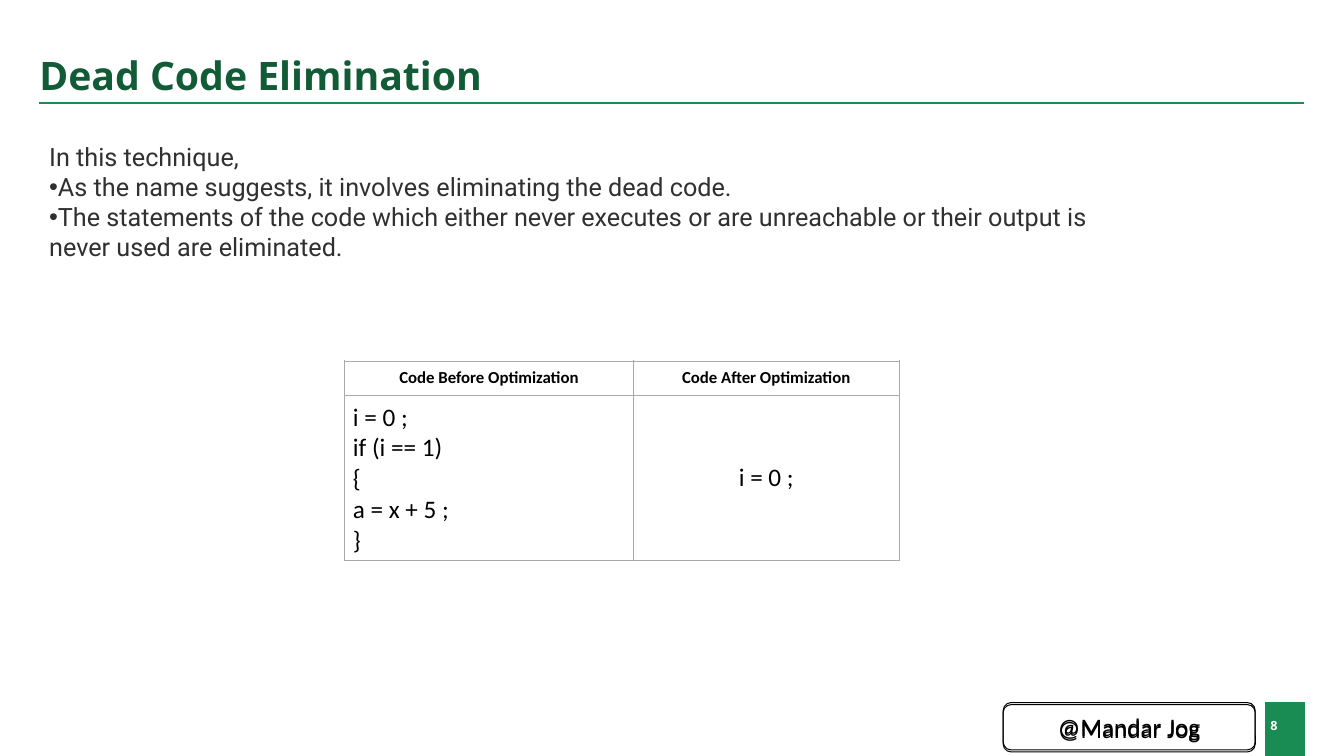
from dataclasses import dataclass

from lxml.etree import SubElement
from pptx import Presentation
from pptx.dml.color import RGBColor
from pptx.enum.shapes import MSO_CONNECTOR, MSO_SHAPE
from pptx.enum.text import MSO_ANCHOR, PP_ALIGN
from pptx.oxml.ns import qn
from pptx.util import Inches, Pt

GREEN = "198C53"
BLACK = "000000"
WHITE = "FFFFFF"
BODY_INSETS = (0.1, 0.05, 0.1, 0.05)
CELL_INSETS = (0.08, 0.07, 0.08, 0.07)


@dataclass
class CodeCell:
    row: int
    column: int
    lines: list[str]
    size: float = 18
    bold: bool = False
    align: PP_ALIGN = PP_ALIGN.CENTER


def color(value: str) -> RGBColor:
    return RGBColor.from_string(value)


def write(frame, lines: list[str], *, font: str, size: float, ink: str,
          bold: bool = False, align: PP_ALIGN = PP_ALIGN.LEFT,
          spacing: float | None = None, bulleted_from: int | None = None) -> None:
    for index, line in enumerate(lines):
        para = frame.paragraphs[0] if index == 0 else frame.add_paragraph()
        para.alignment = align
        para.line_spacing = spacing
        if bulleted_from is not None and index >= bulleted_from:
            properties = para._p.get_or_add_pPr()
            properties.set("marL", "0")
            properties.set("indent", "0")
            SubElement(properties, qn("a:buFont"), typeface="Arial")
            SubElement(properties, qn("a:buChar"), char="•")
        span = para.add_run()
        span.text = line
        span.font.name = font
        span.font.size = Pt(size)
        span.font.bold = bold
        span.font.color.rgb = color(ink)


def set_frame(frame, insets: tuple[float, ...], anchor: MSO_ANCHOR) -> None:
    frame.word_wrap = True
    frame.vertical_anchor = anchor
    (frame.margin_left, frame.margin_top,
     frame.margin_right, frame.margin_bottom) = map(Inches, insets)


def add_text(page, place: tuple[float, ...], lines: list[str], *,
             insets: tuple[float, ...] = BODY_INSETS,
             anchor: MSO_ANCHOR = MSO_ANCHOR.TOP, **style) -> None:
    box = page.shapes.add_textbox(*map(Inches, place))
    set_frame(box.text_frame, insets, anchor)
    write(box.text_frame, lines, **style)


def add_box(page, kind: MSO_SHAPE, place: tuple[float, ...], *,
            line: str, width: float, fill: str | None = None):
    box = page.shapes.add_shape(kind, *map(Inches, place))
    box.shadow.inherit = False
    if fill:
        box.fill.solid()
        box.fill.fore_color.rgb = color(fill)
    else:
        box.fill.background()
    box.line.color.rgb = color(line)
    box.line.width = Pt(width)
    return box


def add_rule(page) -> None:
    rule = page.shapes.add_connector(
        MSO_CONNECTOR.STRAIGHT, Inches(0.39), Inches(1.02), Inches(12.93), Inches(1.02))
    rule.line.color.rgb = color(GREEN)
    rule.line.width = Pt(1.5)
    SubElement(rule._element.spPr, qn("a:effectLst"))


def add_badge(page, top: float) -> None:
    badge = add_box(page, MSO_SHAPE.ROUNDED_RECTANGLE, (9.95, top, 2.5, 0.47),
                    line=BLACK, width=0.75)
    set_frame(badge.text_frame, BODY_INSETS, MSO_ANCHOR.MIDDLE)
    write(badge.text_frame, ["@Mandar Jog"], font="Calibri", size=18, ink=BLACK,
          align=PP_ALIGN.CENTER)


def border_cell(cell) -> None:
    properties = cell._tc.get_or_add_tcPr()
    for side in ("lnL", "lnR", "lnT", "lnB"):
        border = SubElement(properties, qn(f"a:{side}"), w=str(Pt(0.6)))
        SubElement(SubElement(border, qn("a:solidFill")), qn("a:srgbClr"), val="AAAAAA")


def add_code_table(page, cells: list[CodeCell]) -> None:
    widths, heights = (2.86, 2.64), (0.34, 1.63)
    table = page.shapes.add_table(
        len(heights), len(widths), Inches(3.42), Inches(3.58),
        Inches(sum(widths)), Inches(sum(heights))).table
    table.first_row = False
    table.horz_banding = False
    for column, width in zip(table.columns, widths):
        column.width = Inches(width)
    for row, height in zip(table.rows, heights):
        row.height = Inches(height)
    for code in cells:
        cell = table.cell(code.row, code.column)
        border_cell(cell)
        cell.fill.solid()
        cell.fill.fore_color.rgb = color(WHITE)
        cell.vertical_anchor = MSO_ANCHOR.MIDDLE
        (cell.margin_left, cell.margin_top,
         cell.margin_right, cell.margin_bottom) = map(Inches, CELL_INSETS)
        write(cell.text_frame, code.lines, font="Calibri", size=code.size, ink=BLACK,
              bold=code.bold, align=code.align)


CODE_CELLS = [
    CodeCell(0, 0, ["Code Before Optimization"], size=12, bold=True),
    CodeCell(0, 1, ["Code After Optimization"], size=12, bold=True),
    CodeCell(1, 0, ["i = 0 ;", "if (i == 1)", "{", "a = x + 5 ;", "}"],
             align=PP_ALIGN.LEFT),
    CodeCell(1, 1, ["i = 0 ;"]),
]
EXPLANATION = [
    "In this technique,",
    "As the name suggests, it involves eliminating the dead code.",
    "The statements of the code which either never executes or are unreachable "
    "or their output is never used are eliminated.",
]

deck = Presentation()
deck.slide_width = Inches(13.33)
deck.slide_height = Inches(7.5)
page = deck.slides.add_slide(deck.slide_layouts[6])

add_box(page, MSO_SHAPE.RECTANGLE, (12.55, 6.97, 0.39, 0.53),
        fill=GREEN, line=GREEN, width=0.5)
add_text(page, (12.55, 6.98, 0.39, 0.39), ["8"], insets=(0.05, 0.04, 0, 0),
         anchor=MSO_ANCHOR.MIDDLE, font="Open Sans", size=9, ink=WHITE, bold=True)
add_rule(page)
for badge_top in (6.97, 6.99):
    add_badge(page, badge_top)
add_text(page, (0.39, 0.08, 12.55, 0.94), ["Dead Code Elimination"],
         insets=(0, 0.04, 0, 0.04), anchor=MSO_ANCHOR.BOTTOM, font="Open Sans",
         size=28, ink="115C36", bold=True, spacing=0.9)
add_text(page, (0.39, 1.35, 11.14, 2.22), EXPLANATION, font="Roboto", size=18,
         ink="303030", bulleted_from=1)
add_code_table(page, CODE_CELLS)

deck.save("out.pptx")
